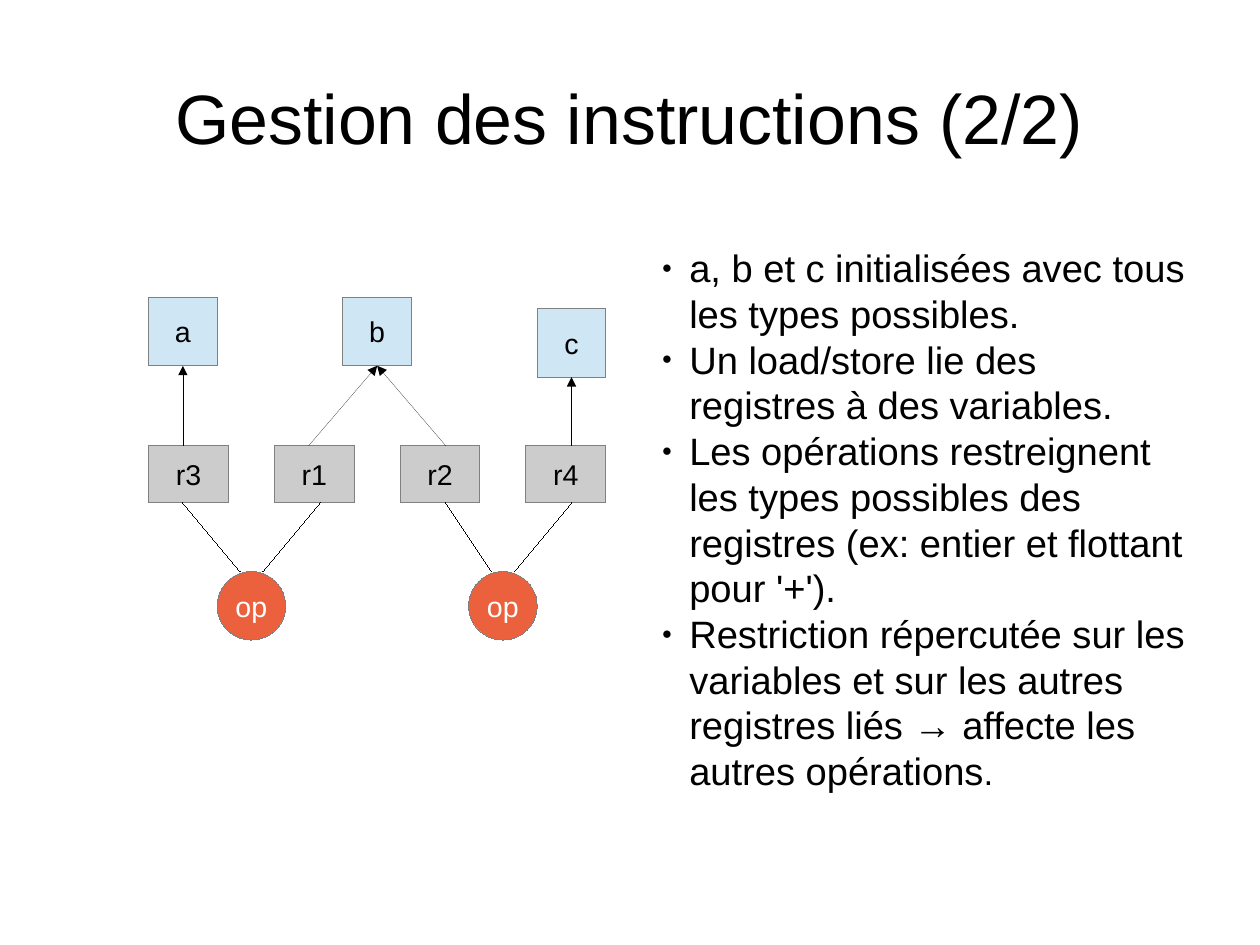
from dataclasses import dataclass
from typing import Any, Optional

import lxml.etree
import pptx
import pptx.dml.color
import pptx.enum.shapes
import pptx.enum.text
import pptx.oxml.ns
import pptx.util

EMU_PER_PX = 9144  # 100 px to the inch
SHAPES = pptx.enum.shapes.MSO_SHAPE
ALIGN = pptx.enum.text.PP_ALIGN
ANCHOR = pptx.enum.text.MSO_ANCHOR
BOTTOM_SIDE = 2


@dataclass(frozen=True)
class Theme:
    font: str = "Arial"
    text: str = "000000"
    operation_text: str = "FFFFFF"
    variable: str = "CFE7F5"
    register: str = "CCCCCC"
    operation: str = "EB613D"
    outline: str = "808080"
    title_size: int = 44
    body_size: int = 24
    body_end_size: int = 22
    body_line_spacing: float = 28.8
    node_size: int = 18


@dataclass(frozen=True)
class Node:
    label: str
    left: int
    top: int
    width: int
    height: int
    fill: str
    color: str
    preset: Any = SHAPES.RECTANGLE


@dataclass(frozen=True)
class Edge:
    begin: tuple[int, int]
    end: tuple[int, int]
    variable: Optional[str] = None


THEME = Theme()
TITLE = "Gestion des instructions (2/2)"
BULLETS = [
    ["a, b et c initialisées avec tous les types possibles."],
    ["Un load/store lie des registres à des variables."],
    ["Les opérations restreignent les types possibles des registres "
     "(ex: entier et flottant pour '+')."],
    ["Restriction répercutée sur les variables et sur les autres "
     "registres liés → affecte les autres opérations", "."],
]
VARIABLES = [
    Node(label, left, top, 60, 60, THEME.variable, THEME.text)
    for label, left, top in [("a", 130, 260), ("b", 300, 260), ("c", 470, 270)]
]
REGISTERS = [
    Node(label, 130 + 110 * column, 390, 70, 50, THEME.register, THEME.text)
    for column, label in enumerate(["r3", "r1", "r2", "r4"])
]
OPERATIONS = [
    Node("op", left, 500, 60, 60, THEME.operation, THEME.operation_text, SHAPES.OVAL)
    for left in (190, 410)
]
EDGES = [
    Edge((270, 390), (330, 320), "b"),
    Edge((390, 390), (330, 320), "b"),
    Edge((160, 390), (160, 320), "a"),
    Edge((500, 390), (500, 330), "c"),
    Edge((160, 440), (210, 500)),
    Edge((230, 500), (280, 440)),
    Edge((390, 440), (430, 500)),
    Edge((450, 500), (500, 440)),
]


def px(length: int) -> int:
    return length * EMU_PER_PX


def rgb(color: str) -> pptx.dml.color.RGBColor:
    return pptx.dml.color.RGBColor.from_string(color)


def apply_format(target: Any, values: dict[str, Any]) -> None:
    for name, value in values.items():
        setattr(target, name, value)


def add_child(parent: Any, tag: str, **attributes: str) -> Any:
    return lxml.etree.SubElement(parent, pptx.oxml.ns.qn(tag), attributes)


def set_hairline(line: Any, color: str) -> Any:
    """Colour the line, give it zero width and return its element."""
    line.color.rgb = rgb(color)
    element = line._get_or_add_ln()
    element.set("w", "0")
    return element


def add_run(paragraph: Any, text: str, size: int, color: str) -> None:
    run = paragraph.add_run()
    run.text = text
    apply_format(run.font, {"name": THEME.font, "size": pptx.util.Pt(size)})
    run.font.color.rgb = rgb(color)


def place(shape: Any, left: int, top: int, width: int, height: int) -> None:
    apply_format(shape, {"left": px(left), "top": px(top),
                         "width": px(width), "height": px(height)})


def format_frame(frame: Any, anchor: Any, wrap: bool, side: int, edge: int) -> None:
    apply_format(frame, {
        "auto_size": pptx.enum.text.MSO_AUTO_SIZE.NONE,
        "vertical_anchor": anchor, "word_wrap": wrap,
        "margin_left": px(side), "margin_right": px(side),
        "margin_top": px(edge), "margin_bottom": px(edge),
    })


def fill_title(title: Any) -> None:
    place(title, 55, 33, 992, 138)
    format_frame(title.text_frame, ANCHOR.MIDDLE, True, 0, 0)
    paragraph = title.text_frame.paragraphs[0]
    paragraph.alignment = ALIGN.CENTER
    add_run(paragraph, TITLE, THEME.title_size, THEME.text)


def add_bullet(paragraph: Any) -> None:
    properties = paragraph._p.get_or_add_pPr()
    properties.set("marL", str(px(24)))
    properties.set("indent", str(px(-24)))
    color = add_child(properties, "a:buClr")
    add_child(color, "a:srgbClr", val=THEME.text)
    add_child(properties, "a:buSzPct", val="45000")
    add_child(properties, "a:buFont", typeface=THEME.font)
    add_child(properties, "a:buChar", char="●")


def fill_body(body: Any) -> None:
    place(body, 569, 209, 480, 525)
    frame = body.text_frame
    format_frame(frame, ANCHOR.TOP, True, 10, 5)
    for index, texts in enumerate(BULLETS):
        paragraph = frame.add_paragraph() if index else frame.paragraphs[0]
        add_bullet(paragraph)
        apply_format(paragraph, {
            "alignment": ALIGN.LEFT,
            "space_before": pptx.util.Pt(0), "space_after": pptx.util.Pt(0),
            "line_spacing": pptx.util.Pt(THEME.body_line_spacing),
        })
        for text, size in zip(texts, (THEME.body_size, THEME.body_end_size)):
            add_run(paragraph, text, size, THEME.text)


def add_node(slide: Any, node: Node) -> Any:
    shape = slide.shapes.add_shape(
        node.preset, px(node.left), px(node.top), px(node.width), px(node.height))
    shape.shadow.inherit = False
    shape.fill.solid()
    shape.fill.fore_color.rgb = rgb(node.fill)
    set_hairline(shape.line, THEME.outline)
    format_frame(shape.text_frame, ANCHOR.MIDDLE, False, 10, 5)
    paragraph = shape.text_frame.paragraphs[0]
    paragraph.alignment = ALIGN.CENTER
    add_run(paragraph, node.label, THEME.node_size, node.color)
    return shape


def add_edge(slide: Any, edge: Edge, variables: dict[str, Any]) -> None:
    """Draw a plain line, or an arrow joined to the variable it points at."""
    connector = slide.shapes.add_connector(
        pptx.enum.shapes.MSO_CONNECTOR.STRAIGHT, *map(px, edge.begin + edge.end))
    line = set_hairline(connector.line, THEME.text)
    if edge.variable:
        connector.end_connect(variables[edge.variable], BOTTOM_SIDE)
        add_child(line, "a:tailEnd", type="triangle")
    add_child(connector._element.spPr, "a:effectLst")


def main() -> None:
    presentation = pptx.Presentation()
    presentation.slide_width = pptx.util.Cm(28)
    presentation.slide_height = pptx.util.Cm(21)
    slide = presentation.slides.add_slide(presentation.slide_layouts[1])
    fill_title(slide.shapes.title)
    variables = {node.label: add_node(slide, node) for node in VARIABLES}
    for node in REGISTERS + OPERATIONS:
        add_node(slide, node)
    for edge in EDGES:
        add_edge(slide, edge, variables)
    fill_body(slide.placeholders[1])
    presentation.save("out.pptx")


if __name__ == "__main__":
    main()
